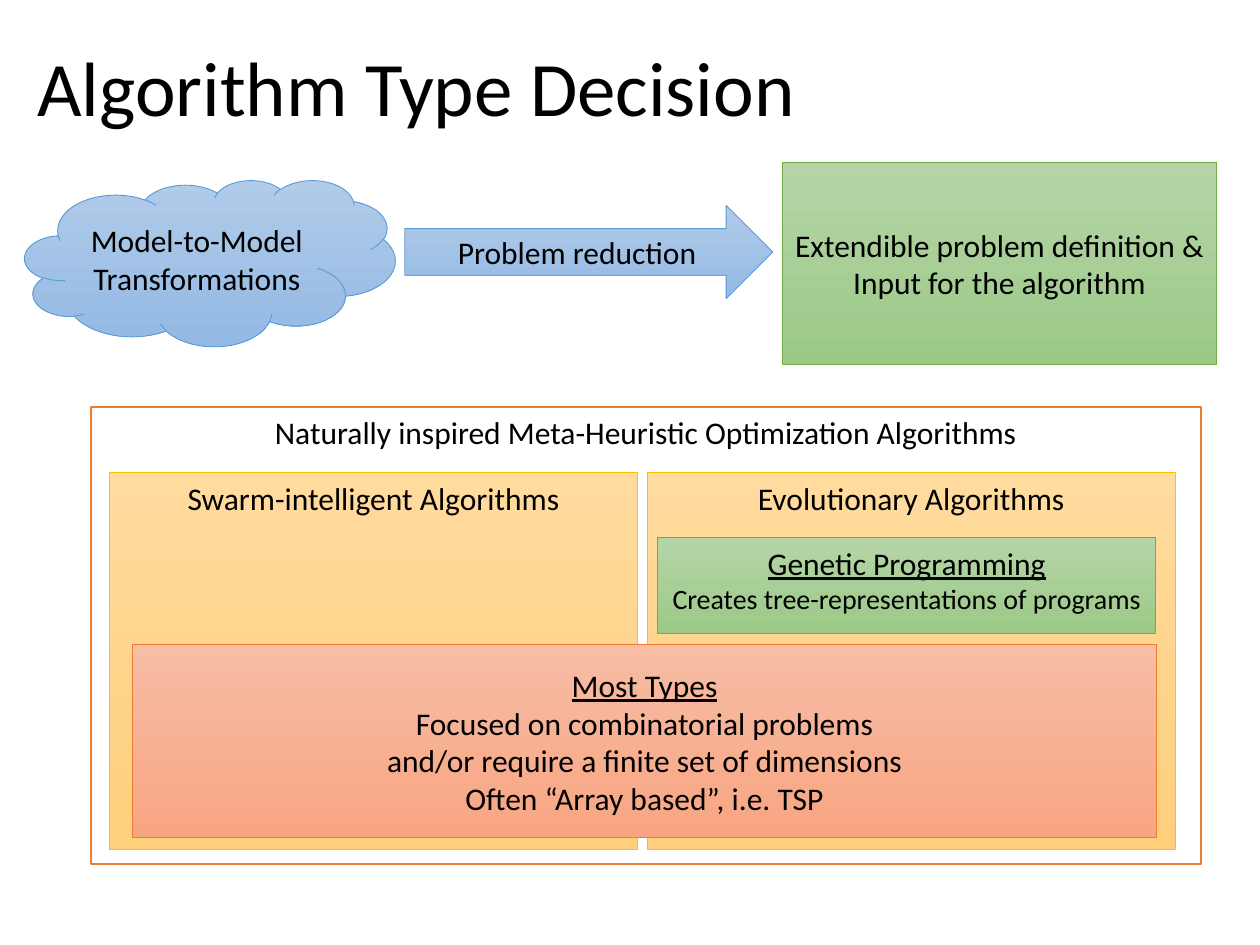
"""Build the slide on choosing an algorithm type."""
from dataclasses import dataclass

from pptx import Presentation
from pptx.dml.color import RGBColor
from pptx.enum.shapes import MSO_SHAPE as Preset
from pptx.enum.text import MSO_ANCHOR as Anchor, PP_ALIGN as Align
from pptx.slide import Slide
from pptx.text.text import TextFrame
from pptx.util import Cm, Pt

COLOURS = {
    "text": "000000",
    "white": "FFFFFF",
    "orange line": "ED7D31",
    "gold line": "FFC000",
    "gold top": "FFDB9E",
    "gold bottom": "FFD07C",
    "green line": "70AD47",
    "green top": "B5D5A7",
    "green bottom": "9CC987",
    "blue line": "5B9BD5",
    "blue top": "B1CBE9",
    "blue bottom": "93B9E4",
    "orange top": "F7BDA5",
    "orange bottom": "F8A582",
}


@dataclass(frozen=True)
class Line:
    text: str
    size: int = 18
    underline: bool = False


@dataclass(frozen=True)
class Block:
    place: tuple[float, float, float, float]
    tint: str
    lines: tuple[Line, ...]
    preset: Preset = Preset.RECTANGLE
    anchor: Anchor = Anchor.MIDDLE
    gradient: bool = True
    line_width: float = 0.5


FAMILY_LEFT, FAMILY_TOP, FAMILY_WIDTH, FAMILY_HEIGHT = 2.21, 9.53, 10.64, 7.59
FAMILY_STEP = FAMILY_WIDTH + 0.2
FAMILIES = ("Swarm-intelligent Algorithms", "Evolutionary Algorithms")

BLOCKS = (
    Block((1.83, 8.2, 22.38, 9.22), "orange",
          (Line("Naturally inspired Meta-Heuristic Optimization Algorithms"),),
          anchor=Anchor.TOP, gradient=False, line_width=1),
    *(Block((FAMILY_LEFT + index * FAMILY_STEP, FAMILY_TOP, FAMILY_WIDTH, FAMILY_HEIGHT),
            "gold", (Line(family),), anchor=Anchor.TOP)
      for index, family in enumerate(FAMILIES)),
    Block((13.26, 10.84, 10.04, 1.93), "green",
          (Line("Genetic Programming", underline=True),
           Line("Creates tree-representations of programs", 16)),
          anchor=Anchor.TOP),
    Block((8.16, 4.14, 7.42, 1.88), "blue",
          (Line("Problem reduction"),), Preset.RIGHT_ARROW),
    Block((0.5, 3.63, 7.47, 3.35), "blue",
          (Line("Model-to-Model Transformations"),), Preset.CLOUD),
    Block((15.77, 3.28, 8.76, 4.06), "green",
          (Line("Extendible problem definition &\nInput for the algorithm"),)),
    Block((2.67, 13, 20.65, 3.89), "orange",
          (Line("Most Types", underline=True),
           Line("Focused on combinatorial problems"),
           Line("and/or require a finite set of dimensions"),
           Line("Often “Array based”, i.e. TSP"))),
)


def colour(name: str) -> RGBColor:
    """Look up a colour by name."""
    return RGBColor.from_string(COLOURS[name])


def write(frame: TextFrame, lines: tuple[Line, ...], align: Align, anchor: Anchor) -> None:
    """Write each line as a paragraph of the frame."""
    frame.word_wrap = True
    frame.vertical_anchor = anchor
    for index, line in enumerate(lines):
        para = frame.add_paragraph() if index else frame.paragraphs[0]
        para.alignment = align
        for row, text in enumerate(line.text.split("\n")):
            if row:
                para.add_line_break()
            span = para.add_run()
            span.text = text
            span.font.name = "Calibri"
            span.font.size = Pt(line.size)
            span.font.underline = line.underline
            span.font.color.rgb = colour("text")


def draw_title(page: Slide, text: str) -> None:
    """Draw the slide title."""
    box = page.shapes.add_textbox(Cm(0.5), Cm(0), Cm(24.41), Cm(3.68))
    write(box.text_frame, (Line(text, 44),), Align.LEFT, Anchor.MIDDLE)
    box.text_frame.paragraphs[0].line_spacing = 0.9


def draw_block(page: Slide, block: Block) -> None:
    """Draw one filled and outlined shape with its text."""
    shape = page.shapes.add_shape(block.preset, *map(Cm, block.place))
    shape.shadow.inherit = False
    if block.gradient:
        shape.fill.gradient()
        shape.fill.gradient_angle = 270
        for stop, end in zip(shape.fill.gradient_stops, ("top", "bottom")):
            stop.color.rgb = colour(f"{block.tint} {end}")
    else:
        shape.fill.solid()
        shape.fill.fore_color.rgb = colour("white")
    shape.line.color.rgb = colour(f"{block.tint} line")
    shape.line.width = Pt(block.line_width)
    write(shape.text_frame, block.lines, Align.CENTER, block.anchor)


def main() -> None:
    """Build and save the deck."""
    deck = Presentation()
    deck.slide_width, deck.slide_height = Cm(25.4), Cm(19.05)
    page = deck.slides.add_slide(deck.slide_layouts[6])
    draw_title(page, "Algorithm Type Decision")
    for block in BLOCKS:
        draw_block(page, block)
    deck.save("out.pptx")


if __name__ == "__main__":
    main()
